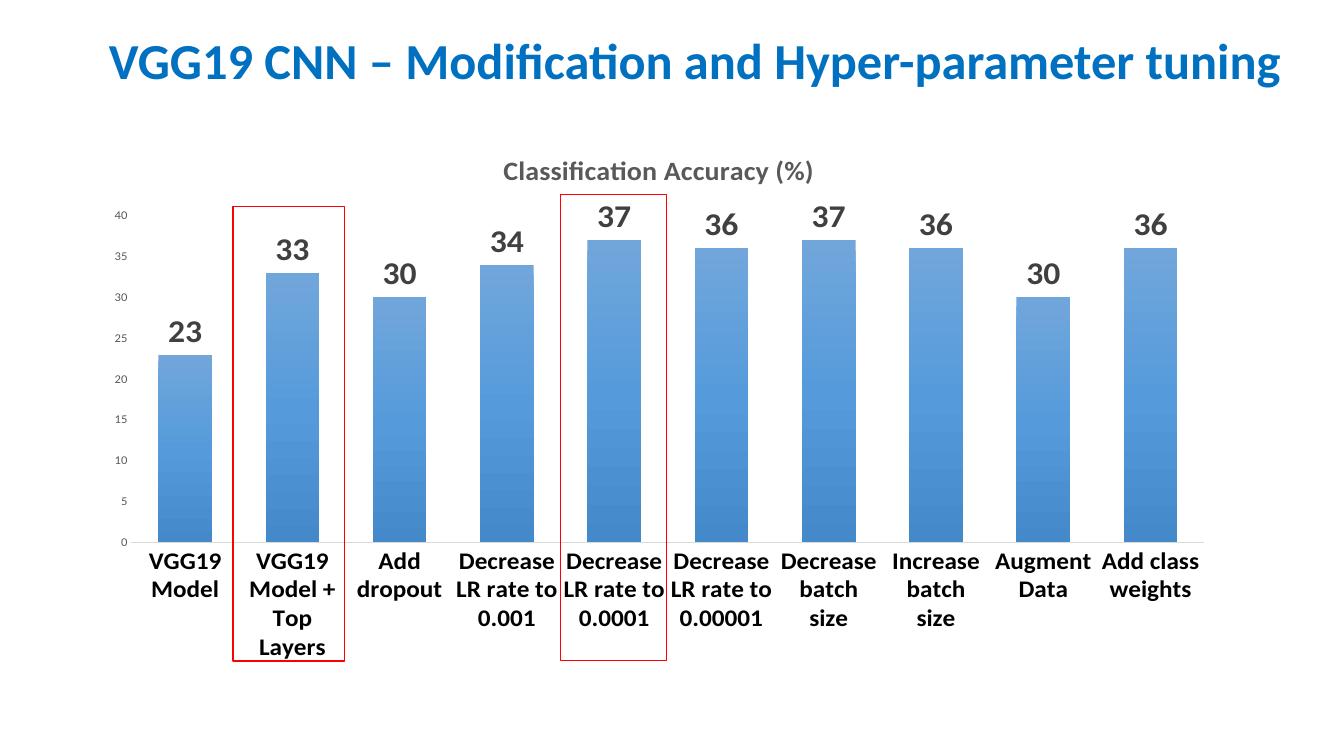
from lxml.etree import SubElement
from pptx import Presentation
from pptx.chart.data import CategoryChartData
from pptx.dml.color import RGBColor
from pptx.enum.chart import XL_CHART_TYPE, XL_LABEL_POSITION, XL_TICK_MARK
from pptx.enum.shapes import MSO_SHAPE
from pptx.enum.text import MSO_ANCHOR, PP_ALIGN
from pptx.oxml import parse_xml
from pptx.oxml.ns import nsdecls, qn
from pptx.util import Pt

PX = 9144  # EMU in one px, 100 px to the inch
FONT = "Calibri"
ACCURACY = {
    "VGG19 Model": 23,
    "VGG19 Model + Top Layers": 33,
    "Add dropout": 30,
    "Decrease LR rate to 0.001": 34,
    "Decrease LR rate to 0.0001": 37,
    "Decrease LR rate to 0.00001": 36,
    "Decrease batch size": 37,
    "Increase batch size": 36,
    "Augment Data": 30,
    "Add class weights": 36,
}
BAR_GRADIENT = {0: "71A6DB", 50: "559BDB", 100: "448ACA"}
PLOT_AREA = {"x": 0.03, "y": 0.168, "w": 0.956, "h": 0.655}


def px(*lengths):
    return [length * PX for length in lengths]


def rgb(hex_string):
    return RGBColor.from_string(hex_string)


def style_font(font, size, color, bold=False):
    font.name = FONT
    font.size = Pt(size)
    font.bold = bold
    font.color.rgb = rgb(color)


def set_title(page, text, left, top, width, height, size, color):
    title = page.shapes.title
    title.left, title.top, title.width, title.height = px(left, top, width, height)
    frame = title.text_frame
    frame.text = text
    frame.word_wrap = False
    frame.vertical_anchor = MSO_ANCHOR.MIDDLE
    para = frame.paragraphs[0]
    para.alignment = PP_ALIGN.CENTER
    para.line_spacing = 0.9
    style_font(para.runs[0].font, size, color, bold=True)


def set_plot_layout(chart, fractions):
    """Fix the inner plot area as fractions of the chart frame."""
    plot_area = chart._chartSpace.find(".//" + qn("c:plotArea"))
    for old in plot_area.findall(qn("c:layout")):
        plot_area.remove(old)
    layout = parse_xml(f"<c:layout {nsdecls('c')}><c:manualLayout/></c:layout>")
    settings = {"layoutTarget": "inner", "xMode": "edge", "yMode": "edge", **fractions}
    for tag, value in settings.items():
        SubElement(layout[0], qn(f"c:{tag}")).set("val", str(value))
    plot_area.insert(0, layout)


def fill_gradient(series, colors):
    """Fill the bars from top to bottom with colors keyed by percent."""
    fill = series.format.fill
    fill.gradient()
    fill.gradient_angle = 270
    stops = series._element.find(".//" + qn("a:gsLst"))
    for old in list(stops):
        stops.remove(old)
    for percent, color in colors.items():
        stop = SubElement(stops, qn("a:gs"), pos=str(percent * 1000))
        SubElement(stop, qn("a:srgbClr"), val=color)


def style_axis(axis, size, color, bold=False, line=None):
    axis.has_major_gridlines = False
    axis.major_tick_mark = axis.minor_tick_mark = XL_TICK_MARK.NONE
    style_font(axis.tick_labels.font, size, color, bold)
    if line:
        axis.format.line.color.rgb = rgb(line)
        axis.format.line.width = Pt(1)
    else:
        axis.format.line.fill.background()


def add_bar_chart(page, title, values, left, top, width, height):
    data = CategoryChartData()
    data.categories = list(values)
    data.add_series("Series 1", list(values.values()))
    chart = page.shapes.add_chart(
        XL_CHART_TYPE.COLUMN_CLUSTERED, *px(left, top, width, height), data
    ).chart
    style_font(chart.font, 10, "000000")
    chart.has_legend = False
    chart.has_title = True
    chart.chart_title.include_in_layout = False
    chart.chart_title.text_frame.text = title
    heading = chart.chart_title.text_frame.paragraphs[0].runs[0]
    style_font(heading.font, 20, "595959", bold=True)

    style_axis(chart.category_axis, 18, "000000", bold=True, line="D9D9D9")
    style_axis(chart.value_axis, 9, "595959")
    chart.value_axis.minimum_scale = 0
    chart.value_axis.maximum_scale = 40
    chart.value_axis.major_unit = 5

    plot = chart.plots[0]
    plot.vary_by_categories = False
    plot.gap_width = 100
    plot.overlap = -24
    plot.has_data_labels = True
    labels = plot.data_labels
    labels.show_value = True
    labels.position = XL_LABEL_POSITION.OUTSIDE_END
    style_font(labels.font, 24, "404040", bold=True)
    fill_gradient(plot.series[0], BAR_GRADIENT)
    set_plot_layout(chart, PLOT_AREA)


def add_highlight(page, left, top, width, height):
    box = page.shapes.add_shape(MSO_SHAPE.RECTANGLE, *px(left, top, width, height))
    box.shadow.inherit = False
    box.fill.background()
    box.line.color.rgb = rgb("FF0000")
    box.line.width = Pt(1)


def main():
    deck = Presentation()
    deck.slide_width, deck.slide_height = px(1333, 750)
    page = deck.slides.add_slide(deck.slide_layouts[5])
    set_title(page, "VGG19 CNN – Modification and Hyper-parameter tuning",
              91, 30, 1197, 65, size=36, color="0070C0")
    add_bar_chart(page, "Classification Accuracy (%)", ACCURACY, 97, 131, 1113, 525)
    add_highlight(page, 231, 205, 111, 451)
    add_highlight(page, 556, 193, 105, 462)
    deck.save("out.pptx")


if __name__ == "__main__":
    main()
